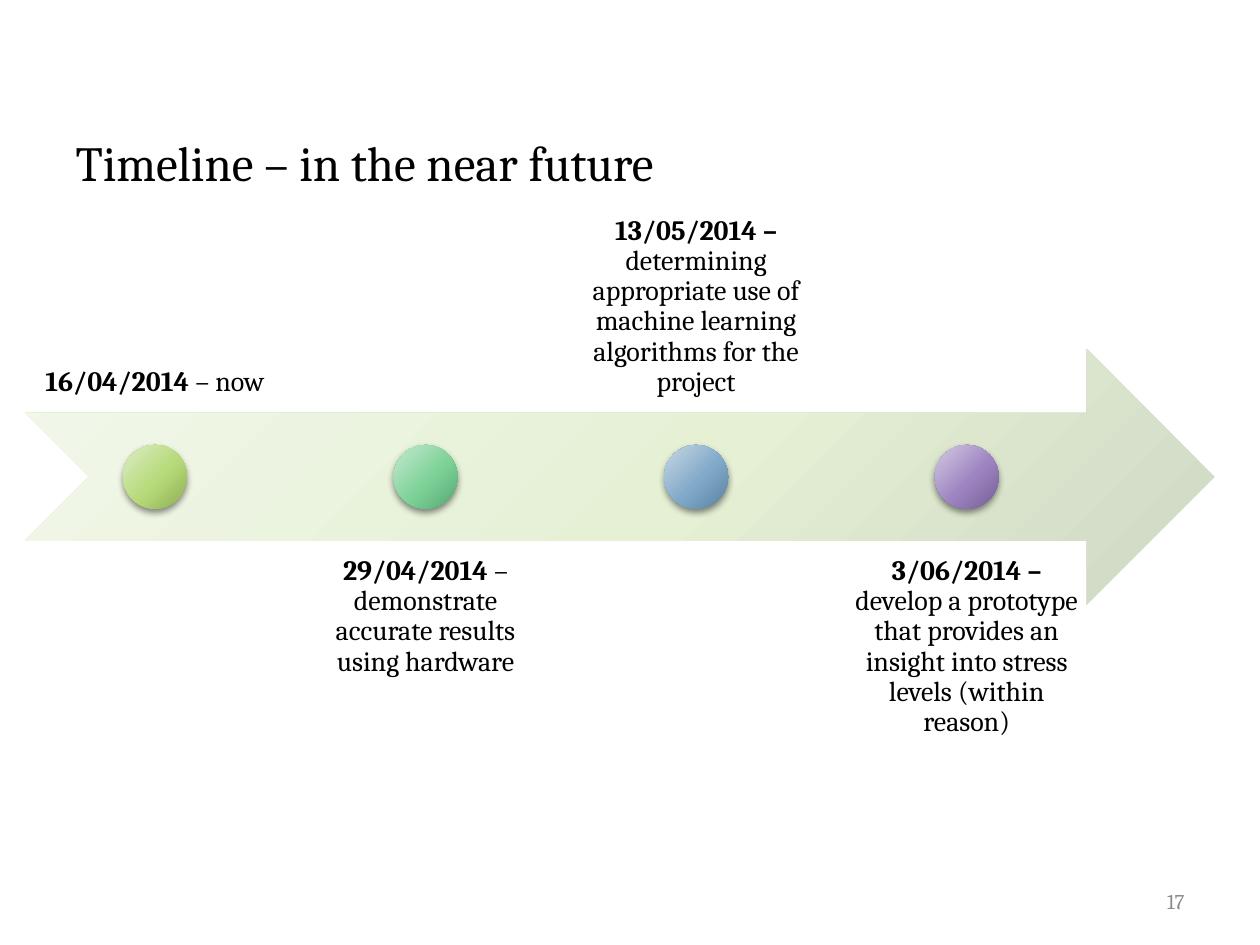
from lxml.etree import SubElement
from pptx import Presentation
from pptx.dml.color import RGBColor
from pptx.enum.shapes import MSO_SHAPE
from pptx.enum.text import MSO_ANCHOR, PP_ALIGN
from pptx.oxml import parse_xml
from pptx.oxml.ns import nsdecls, qn
from pptx.util import Inches, Pt

FONT = "Cambria"
ARROW = ("F2F8EA", "E5F0D5", "CFD7C3")
MILESTONES = [
    ("16/04/2014 ", "– now", ("DDEDC6", "B6DA79", "90AE53")),
    ("29/04/2014", " – demonstrate accurate results using hardware",
     ("C7E9D1", "7DD298", "56A774")),
    ("13/05/2014 –", " determining appropriate use of machine learning "
     "algorithms for the project", ("C9D8E5", "81A9C9", "5A829F")),
    ("3/06/2014 – ", "develop a prototype that provides an insight into "
     "stress levels (within reason)", ("D4CBE2", "9E85C1", "775D97")),
]


def rgb(value):
    return RGBColor.from_string(value)


def add_run(p, text, size, color="000000", bold=False):
    r = p.add_run()
    r.text = text
    r.font.name = FONT
    r.font.size = Pt(size)
    r.font.bold = bold
    r.font.color.rgb = rgb(color)


def add_text(slide, box, runs, size, align, anchor, color="000000", inset=None):
    tf = slide.shapes.add_textbox(*map(Inches, box)).text_frame
    tf.word_wrap = True
    tf.vertical_anchor = anchor
    if inset is not None:
        tf.margin_left = tf.margin_right = Inches(inset)
        tf.margin_top = tf.margin_bottom = Inches(inset)
    p = tf.paragraphs[0]
    p.alignment = align
    for text, bold in runs:
        add_run(p, text, size, color, bold)
    return p


def add_radial(slide, kind, box, colors):
    sp = slide.shapes.add_shape(kind, *map(Inches, box))
    sp.shadow.inherit = False
    sp.line.fill.background()
    stops = "".join(
        f'<a:gs pos="{pos}"><a:srgbClr val="{color}"/></a:gs>'
        for pos, color in zip((0, 55000, 100000), colors))
    fill = parse_xml(
        f'<a:gradFill {nsdecls("a")} rotWithShape="1"><a:gsLst>{stops}</a:gsLst>'
        '<a:path path="circle"><a:fillToRect l="-40000" t="-90000" '
        'r="140000" b="190000"/></a:path></a:gradFill>')
    sp.element.spPr.find(qn("a:prstGeom")).addnext(fill)
    return sp


def add_shadow(sp):
    effects = sp.element.spPr.find(qn("a:effectLst"))
    shadow = SubElement(effects, qn("a:outerShdw"), blurRad=str(Pt(4)),
                        dist=str(Pt(2)), dir="5400000", rotWithShape="0")
    color = SubElement(shadow, qn("a:srgbClr"), val="000000")
    SubElement(color, qn("a:alpha"), val="45000")


def add_title(slide, box, text):
    title = slide.shapes.title
    title.left, title.top, title.width, title.height = map(Inches, box)
    tf = title.text_frame
    tf.vertical_anchor = MSO_ANCHOR.TOP
    p = tf.paragraphs[0]
    p.alignment = PP_ALIGN.LEFT
    add_run(p, text, 28)


def add_timeline(slide, box):
    left, top, width, height = box
    add_radial(slide, MSO_SHAPE.NOTCHED_RIGHT_ARROW, box, ARROW)
    dot = height / 4
    label_w = 2.04
    step = 0.91 * width / len(MILESTONES)
    middle = top + height / 2
    for i, (date, task, colors) in enumerate(MILESTONES):
        x = left + 0.01 + i * step
        above = i % 2 == 0
        label_y = middle - 0.51 - height if above else middle + 0.51
        p = add_text(slide, (x, label_y, label_w, height),
                     [(date, True), (task, False)], 16, PP_ALIGN.CENTER,
                     MSO_ANCHOR.BOTTOM if above else MSO_ANCHOR.TOP, inset=0.12)
        p.line_spacing = 0.9
        add_shadow(add_radial(
            slide, MSO_SHAPE.OVAL,
            (x + (label_w - dot) / 2, middle - dot / 2, dot, dot), colors))


prs = Presentation()
prs.slide_width, prs.slide_height = Inches(10), Inches(7.5)
slide = prs.slides.add_slide(prs.slide_layouts[5])
add_timeline(slide, (0.2, 2.77, 9.44, 2.03))
add_title(slide, (0.5, 1, 9, 1), "Timeline – in the near future")
add_text(slide, (7.17, 6.95, 2.33, 0.4), [("17", False)], 12,
         PP_ALIGN.RIGHT, MSO_ANCHOR.MIDDLE, "8C8C8C")
prs.save("out.pptx")
